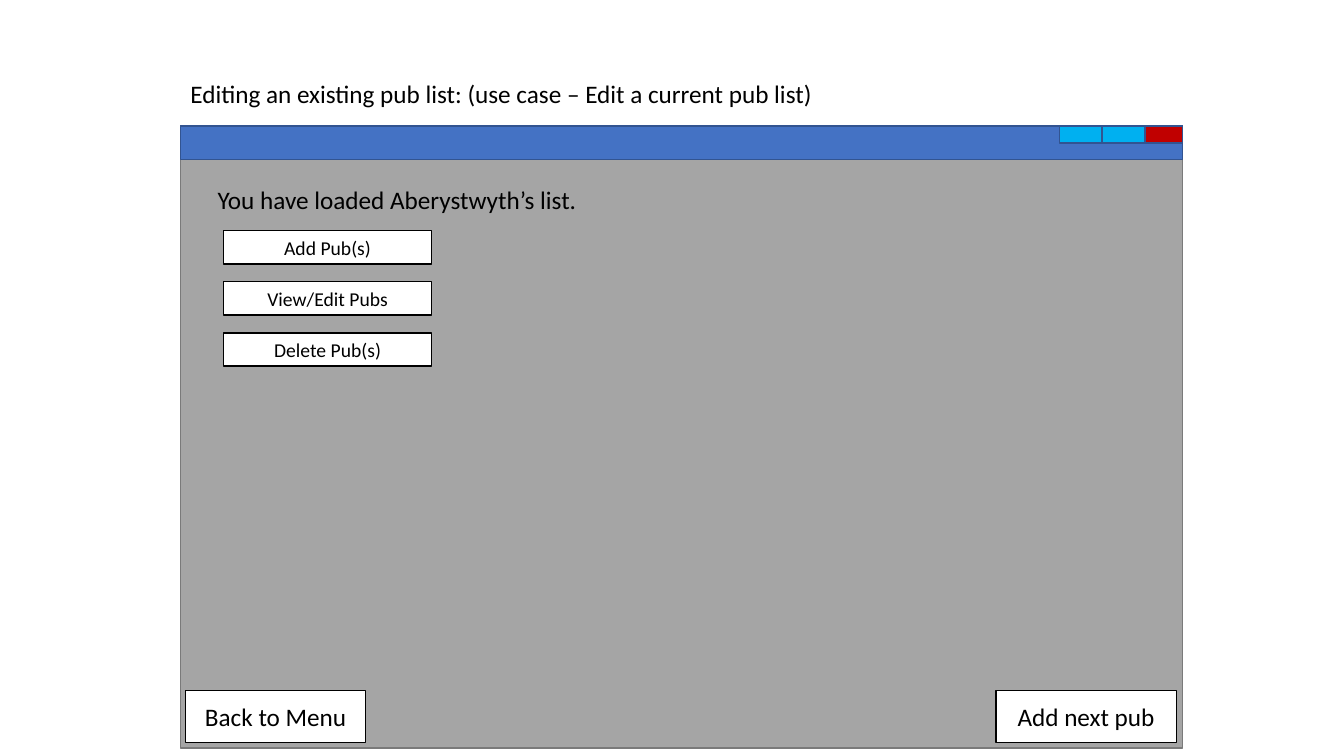
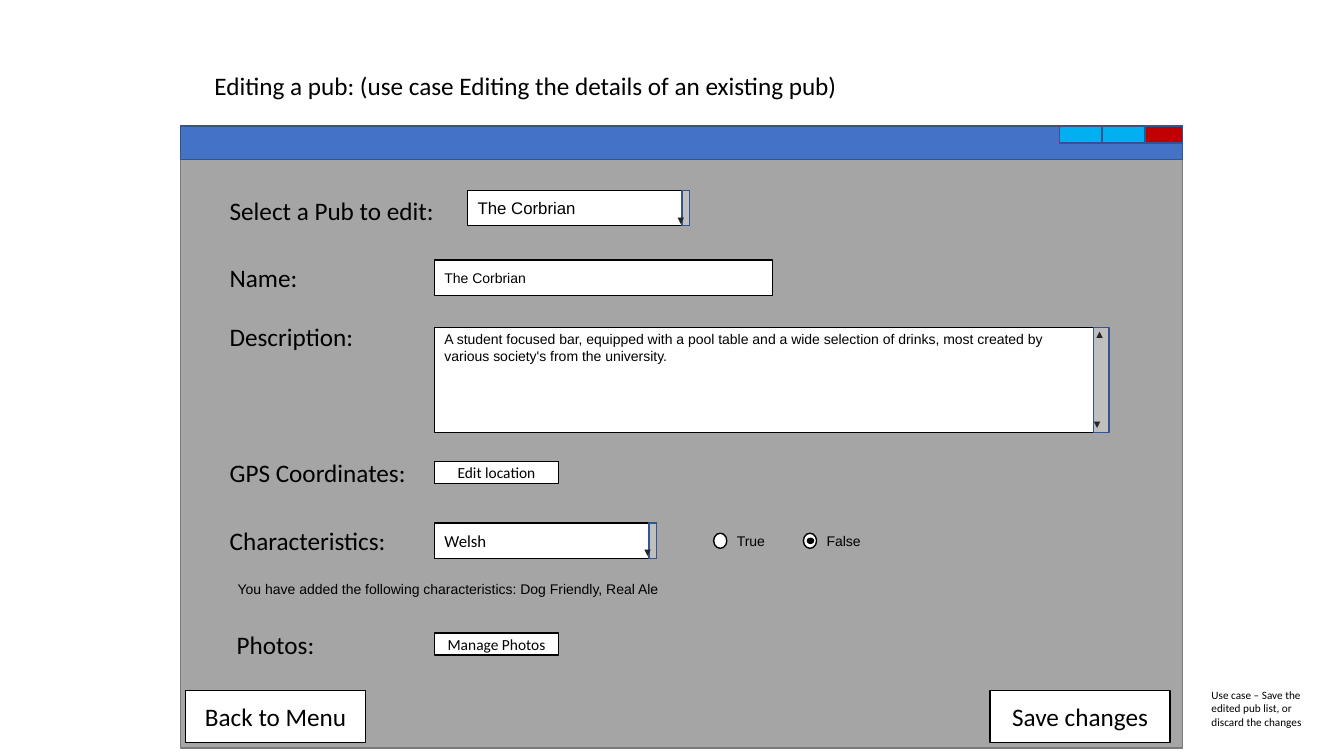
from pptx import Presentation
from pptx.dml.color import RGBColor
from pptx.enum.shapes import MSO_SHAPE
from pptx.enum.text import MSO_ANCHOR, PP_ALIGN
from pptx.util import Inches, Pt

BLACK = RGBColor(0x00, 0x00, 0x00)
WHITE = RGBColor(0xFF, 0xFF, 0xFF)
GREY = RGBColor(0xA5, 0xA5, 0xA5)
GREY_EDGE = RGBColor(0x7A, 0x7A, 0x7A)
BLUE = RGBColor(0x44, 0x72, 0xC4)
BLUE_EDGE = RGBColor(0x32, 0x54, 0x91)
CYAN = RGBColor(0x00, 0xB0, 0xF0)
RED = RGBColor(0xC0, 0x00, 0x00)
SILVER = RGBColor(0xBF, 0xBF, 0xBF)
CHARCOAL = RGBColor(0x24, 0x27, 0x29)

deck = Presentation()
deck.slide_width, deck.slide_height = Inches(13.33), Inches(7.5)
COL, ROW = deck.slide_width / 100, deck.slide_height / 100

FONTS = {
    "heading": {"name": "Calibri", "size": Pt(18)},
    "option": {"name": "Calibri", "size": Pt(14)},
    "choice": {"name": "Calibri", "size": Pt(12)},
    "action": {"name": "Calibri", "size": Pt(11)},
    "remark": {"name": "Calibri", "size": Pt(8)},
    "pub": {"name": "Arial", "size": Pt(12)},
    "detail": {"name": "Arial", "size": Pt(10)},
    "arrow": {"name": "Arial", "size": Pt(8)},
}
LABEL = {"word_wrap": True, "vertical_anchor": MSO_ANCHOR.TOP}
FIELD = {"word_wrap": True, "vertical_anchor": MSO_ANCHOR.MIDDLE}
MULTILINE = {**LABEL, "margin_top": Inches(0.03)}
GLYPH = {"word_wrap": False, "vertical_anchor": MSO_ANCHOR.MIDDLE,
         "margin_left": 0, "margin_right": 0, "margin_top": 0, "margin_bottom": 0}


def write(target, text, font, frame=LABEL, align=PP_ALIGN.LEFT, color=BLACK):
    for key, value in frame.items():
        setattr(target.text_frame, key, value)
    paragraph = target.text_frame.paragraphs[0]
    paragraph.alignment = align
    run = paragraph.add_run()
    run.text = text
    for key, value in FONTS[font].items():
        setattr(run.font, key, value)
    run.font.color.rgb = color


def place(slide, left, top, width, height, fill=None, edge=BLACK, kind=MSO_SHAPE.RECTANGLE):
    area = [round(v) for v in (left * COL, top * ROW, width * COL, height * ROW)]
    if fill is None:
        return slide.shapes.add_textbox(*area)
    shape = slide.shapes.add_shape(kind, *area)
    shape.shadow.inherit = False
    shape.fill.solid()
    shape.fill.fore_color.rgb = fill
    shape.line.color.rgb = edge
    shape.line.width = Pt(1)
    return shape


WINDOW_LEFT, WINDOW_TOP, WINDOW_WIDTH = 13.43, 16.67, 74.55
LABEL_LEFT, FIELD_LEFT = 16.35, 32.33
LABEL_HEIGHT, DETAIL_HEIGHT, FIELD_HEIGHT = 5.33, 3.6, 4.67

screens = []
for title, left, top, forward, forward_left in (
    ("Editing an existing pub list: (use case – Edit a current pub list)",
     13.43, 9.73, "Add next pub", 74.1),
    ("Editing a pub: (use case Editing the details of an existing pub)",
     15.22, 8.67, "Save changes", 73.65),
):
    screen = deck.slides.add_slide(deck.slide_layouts[6])
    screens.append(screen)
    write(place(screen, left, top, 65, LABEL_HEIGHT), title, "heading")
    place(screen, WINDOW_LEFT, WINDOW_TOP, WINDOW_WIDTH, 82.27, GREY, GREY_EDGE)
    place(screen, WINDOW_LEFT, WINDOW_TOP, WINDOW_WIDTH, 4.4, BLUE, BLUE_EDGE)
    for control_left, control_width, color in ((78.82, 3.2, CYAN), (82, 3.2, CYAN), (85.2, 2.78, RED)):
        place(screen, control_left, WINDOW_TOP, control_width, 2.27, color, BLUE_EDGE)
    for caption, caption_left in (("Back to Menu", 13.8), (forward, forward_left)):
        write(place(screen, caption_left, 91.33, 13.42, 6.93, WHITE),
              caption, "heading", FIELD, PP_ALIGN.CENTER)

list_screen, pub_screen = screens

write(place(list_screen, 15.45, 23.73, 41.4, LABEL_HEIGHT),
      "You have loaded Aberystwyth’s list.", "heading")
for row, option in enumerate(("Add Pub(s)", "View/Edit Pubs", "Delete Pub(s)")):
    write(place(list_screen, 16.65, 30.53 + row * 6.75, 15.45, 4.4, WHITE),
          option, "option", FIELD, PP_ALIGN.CENTER)

for label, left, top in (
    ("Select a Pub to edit:", LABEL_LEFT, 25.2),
    ("Name:", LABEL_LEFT, 34),
    ("Description:", LABEL_LEFT, 41.87),
    ("GPS Coordinates:", LABEL_LEFT, 59.87),
    ("Characteristics:", LABEL_LEFT, 68.8),
    ("Photos:", 16.88, 82.53),
):
    write(place(pub_screen, left, top, 27, LABEL_HEIGHT), label, "heading")

arrows = [("▲", 81.83, 44.13), ("▼", 81.64, 56.1)]
for choice, left, top, font in (
    ("The Corbrian", 34.8, 25.2, "pub"),
    ("Welsh", FIELD_LEFT, 69.2, "choice"),
):
    write(place(pub_screen, left, top, 16.5, FIELD_HEIGHT, WHITE), choice, font, FIELD)
    place(pub_screen, left + 15.95, top, 0.55, FIELD_HEIGHT, SILVER, BLUE_EDGE)
    arrows.append(("▼", left + 15.86, top + 3.87))

write(place(pub_screen, FIELD_LEFT, 34.4, 25.13, FIELD_HEIGHT, WHITE),
      "The Corbrian", "detail", FIELD)
write(place(pub_screen, FIELD_LEFT, 43.33, 49.05, 13.87, WHITE),
      "A student focused bar, equipped with a pool table and a wide selection of drinks, "
      "most created by various society's from the university.", "detail", MULTILINE)
place(pub_screen, 81.38, 43.33, 1.13, 13.87, SILVER, BLUE_EDGE)

for arrow, center, middle in arrows:
    write(place(pub_screen, center - 0.5, middle - 1.6, 1, 3.2),
          arrow, "arrow", GLYPH, PP_ALIGN.CENTER, CHARCOAL)

for action, top in (("Edit location", 61.07), ("Manage Photos", 83.73)):
    write(place(pub_screen, FIELD_LEFT, top, 9.23, 2.93, WHITE),
          action, "action", FIELD, PP_ALIGN.CENTER)

for answer, left in (("True", 53.1), ("False", 59.78)):
    place(pub_screen, left, 70.53, 0.98, 2, WHITE, kind=MSO_SHAPE.OVAL)
    write(place(pub_screen, left + 0.98, 69.73, 6.2, DETAIL_HEIGHT), answer, "detail")
place(pub_screen, 60.08, 71.2, 0.45, 0.67, BLACK, kind=MSO_SHAPE.OVAL)

write(place(pub_screen, 16.95, 76.13, 45.53, DETAIL_HEIGHT),
      "You have added the following characteristics: Dog Friendly, Real Ale", "detail")
write(place(pub_screen, 89.4, 90.4, 9, 6.67),
      "Use case – Save the edited pub list, or discard the changes", "remark")

deck.save("out.pptx")
